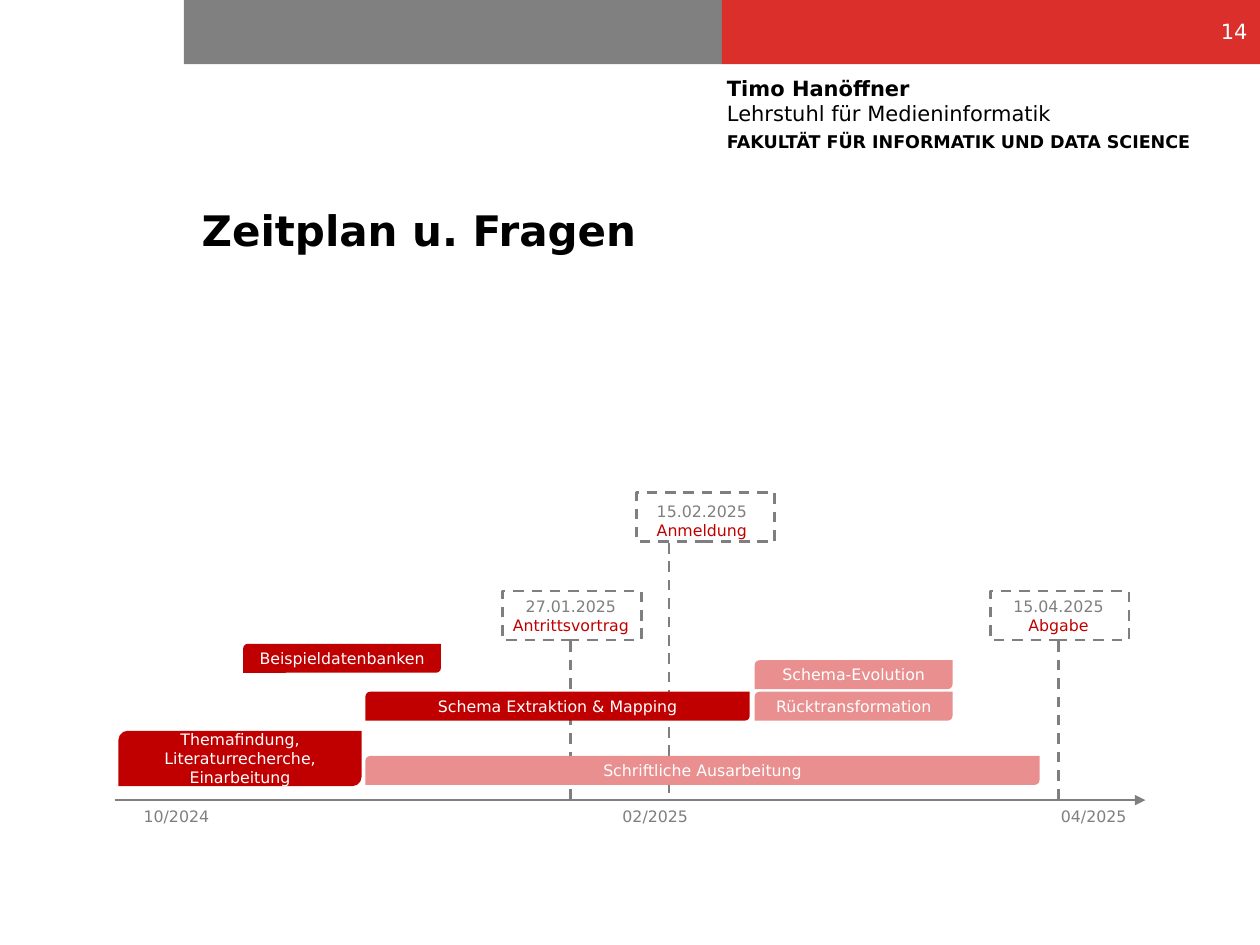
from dataclasses import dataclass

from lxml import etree
from pptx import Presentation
from pptx import util as u
from pptx.dml.color import RGBColor
from pptx.enum import dml, shapes, text
from pptx.oxml.ns import qn

PX = u.Inches(1) // 100
AXIS_Y = 635
LABEL_WIDTH = 90
MILESTONE_WIDTH, MILESTONE_HEIGHT = 110, 39
BAR_HEIGHT = 23


@dataclass(frozen=True)
class Theme:
    font: str = "DejaVu Sans"
    black: str = "000000"
    white: str = "FFFFFF"
    header_gray: str = "808080"
    header_red: str = "DA2F2B"
    line_gray: str = "7F7F7F"
    done: str = "C00000"
    planned: str = "E98F8F"
    title_size: int = 24
    header_size: int = 12
    faculty_size: int = 10
    body_size: int = 9
    line_width: float = 1.5


THEME = Theme()


def px(*lengths):
    return [length * PX for length in lengths]


def color(value):
    return RGBColor.from_string(value)


def write(frame, paragraphs, size=THEME.body_size, fill=THEME.black, bold=False,
          align=text.PP_ALIGN.LEFT, anchor=text.MSO_ANCHOR.TOP,
          space_after=0, line_spacing=None, inset=None, grow=False):
    """Each paragraph is a list of (text, overrides) lines."""
    frame.word_wrap = True
    frame.vertical_anchor = anchor
    frame.auto_size = (text.MSO_AUTO_SIZE.SHAPE_TO_FIT_TEXT if grow
                       else text.MSO_AUTO_SIZE.NONE)
    if inset is not None:
        frame.margin_left = frame.margin_right = inset
        frame.margin_top = frame.margin_bottom = inset
    for index, lines in enumerate(paragraphs):
        paragraph = frame.add_paragraph() if index else frame.paragraphs[0]
        paragraph.alignment = align
        paragraph.space_after = u.Pt(space_after)
        if line_spacing:
            paragraph.line_spacing = line_spacing
        for position, (content, changes) in enumerate(lines):
            if position:
                paragraph.add_line_break()
            run = paragraph.add_run()
            run.text = content
            style = {"size": size, "fill": fill, "bold": bold, **changes}
            run.font.name = THEME.font
            run.font.size = u.Pt(style["size"])
            run.font.bold = style["bold"]
            run.font.color.rgb = color(style["fill"])


def add_text(slide, box, paragraphs, **style):
    shape = slide.shapes.add_textbox(*px(*box))
    write(shape.text_frame, paragraphs, **style)


def add_block(slide, kind, box, fill=None):
    shape = slide.shapes.add_shape(kind, *px(*box))
    shape.shadow.inherit = False
    if fill:
        shape.fill.solid()
        shape.fill.fore_color.rgb = color(fill)
        shape.line.fill.background()
    else:
        shape.fill.background()
        format_line(shape.line, dashed=True)
    return shape


def format_line(line, dashed=False):
    line.color.rgb = color(THEME.line_gray)
    line.width = u.Pt(THEME.line_width)
    if dashed:
        line.dash_style = dml.MSO_LINE.DASH


def add_line(slide, start, end, dashed=False, arrow=False):
    connector = slide.shapes.add_connector(
        shapes.MSO_CONNECTOR.STRAIGHT, *px(*start, *end))
    format_line(connector.line, dashed)
    properties = connector.element.spPr
    if arrow:
        etree.SubElement(properties.find(qn("a:ln")), qn("a:tailEnd"), type="triangle")
    etree.SubElement(properties, qn("a:effectLst"))


def add_header(slide):
    for left, fill in ((146, THEME.header_gray), (573, THEME.header_red)):
        add_block(slide, shapes.MSO_SHAPE.RECTANGLE, (left, 0, 427, 51), fill)
    add_text(slide, (577, 60, 404, 94), [
        [("Timo Hanöffner", {"bold": True}), ("Lehrstuhl für Medieninformatik", {})],
        [("FAKULTÄT FÜR INFORMATIK UND DATA SCIENCE",
          {"size": THEME.faculty_size, "bold": True})],
    ], size=THEME.header_size, space_after=3, inset=0)
    add_text(slide, (775, 5, 225, 40), [[("14", {})]], size=THEME.header_size,
             fill=THEME.white, align=text.PP_ALIGN.RIGHT, anchor=text.MSO_ANCHOR.MIDDLE)


def add_title(slide, content):
    title = slide.shapes.title
    title.left, title.top, title.width, title.height = px(150, 162, 786, 76)
    write(title.text_frame, [[(content, {})]], size=THEME.title_size, bold=True,
          line_spacing=0.9)


def add_axis(slide):
    add_line(slide, (91, AXIS_Y), (909, AXIS_Y), arrow=True)
    for left, label in ((95, "10/2024"), (475, "02/2025"), (823, "04/2025")):
        add_text(slide, (left, AXIS_Y, LABEL_WIDTH, 25), [[(label, {})]],
                 fill=THEME.line_gray, align=text.PP_ALIGN.CENTER, grow=True)


def add_milestone(slide, left, top, line_x, text_left, text_top, date, name):
    add_line(slide, (line_x, top + MILESTONE_HEIGHT + 1), (line_x, AXIS_Y), dashed=True)
    add_block(slide, shapes.MSO_SHAPE.RECTANGLE,
              (left, top, MILESTONE_WIDTH, MILESTONE_HEIGHT))
    add_text(slide, (text_left, text_top, 122, 40),
             [[(date, {})], [(name, {"fill": THEME.done})]],
             fill=THEME.line_gray, align=text.PP_ALIGN.CENTER, grow=True)


def add_bar(slide, left, top, width, fill, label, height=BAR_HEIGHT):
    bar = add_block(slide, shapes.MSO_SHAPE.ROUND_2_DIAG_RECTANGLE,
                    (left, top, width, height), fill)
    write(bar.text_frame, [[(label, {})]], fill=THEME.white,
          align=text.PP_ALIGN.CENTER, anchor=text.MSO_ANCHOR.MIDDLE)


def main():
    presentation = Presentation()
    presentation.slide_width, presentation.slide_height = px(1000, 750)
    slide = presentation.slides.add_slide(presentation.slide_layouts[5])

    add_header(slide)
    add_title(slide, "Zeitplan u. Fragen")
    add_axis(slide)

    add_milestone(slide, 399, 469, 453, 392, 469, "27.01.2025", "Antrittsvortrag")
    add_milestone(slide, 505, 391, 531, 496, 393, "15.02.2025", "Anmeldung")
    add_milestone(slide, 786, 469, 840, 779, 469, "15.04.2025", "Abgabe")

    add_bar(slide, 94, 580, 193, THEME.done,
            "Themafindung, Literaturrecherche, Einarbeitung", height=44)
    add_bar(slide, 193, 511, 157, THEME.done, "Beispieldatenbanken")
    add_bar(slide, 290, 549, 305, THEME.done, "Schema Extraktion & Mapping")
    add_bar(slide, 290, 600, 535, THEME.planned, "Schriftliche Ausarbeitung")
    add_bar(slide, 599, 524, 157, THEME.planned, "Schema-Evolution")
    add_bar(slide, 599, 549, 157, THEME.planned, "Rücktransformation")

    presentation.save("out.pptx")


if __name__ == "__main__":
    main()
